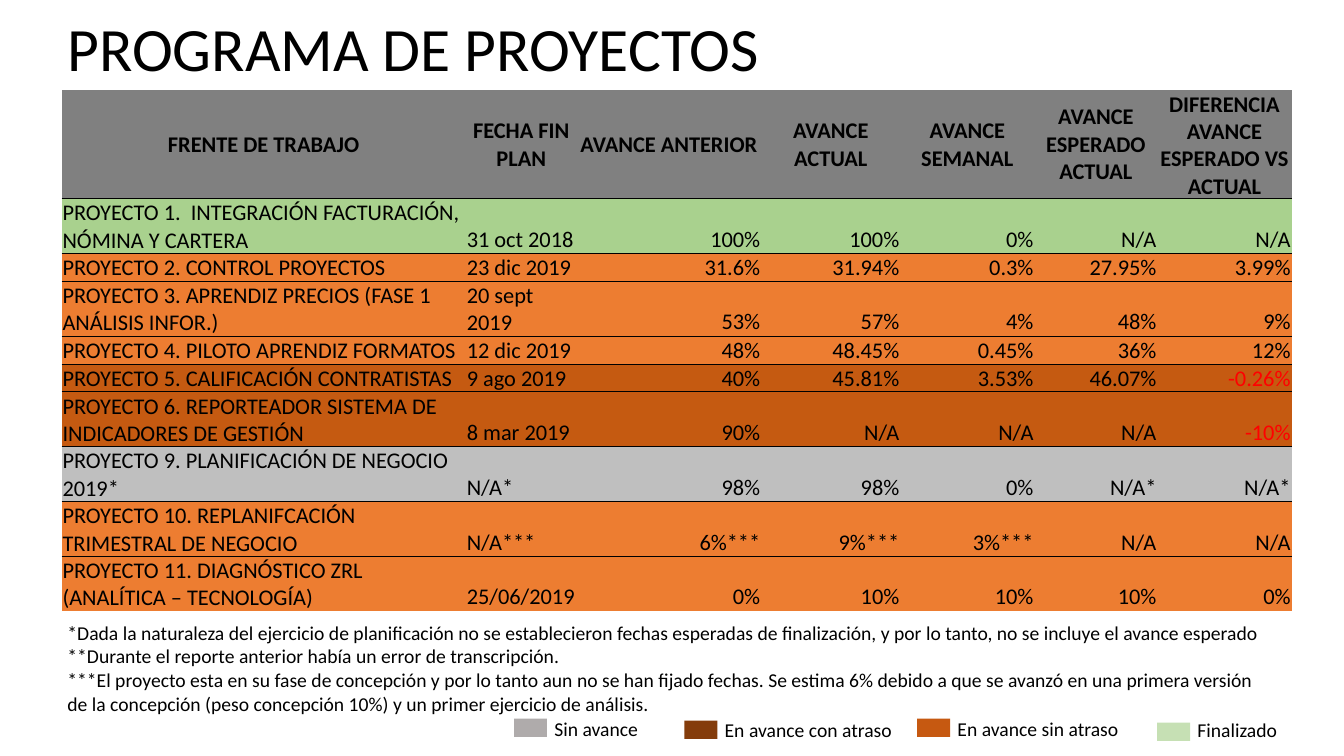
from lxml import etree
from pptx import Presentation
from pptx import util as u
from pptx.dml.color import RGBColor
from pptx.enum import shapes, text
from pptx.oxml.ns import qn

WIDTH, HEIGHT = u.Inches(13.33), u.Inches(7.5)
FONT = "Calibri"
BLACK, RED, GREY = "000000", "FF0000", "808080"
DONE, ON_TIME, LATE, IDLE = "A9D18E", "ED7D31", "C55A11", "BFBFBF"
NO_STYLE = "{2D5ABB26-0587-4C30-8999-92F81FD0307C}"

# Column widths and the height of one text line, in percent of the slide
COLUMNS = [30.08, 8.25, 13.73, 10.35, 9.98, 9.15, 9.98]
LINE = 3.6

HEADERS = ["FRENTE DE TRABAJO", "FECHA FIN PLAN", "AVANCE ANTERIOR",
           "AVANCE ACTUAL", "AVANCE SEMANAL", "AVANCE ESPERADO ACTUAL",
           "DIFERENCIA AVANCE ESPERADO VS ACTUAL"]

# Fill, text lines, values
PROJECTS = [
    (DONE, 2, ["PROYECTO 1.  INTEGRACIÓN FACTURACIÓN, NÓMINA Y CARTERA",
               "31 oct 2018", "100%", "100%", "0%", "N/A", "N/A"]),
    (ON_TIME, 1, ["PROYECTO 2. CONTROL PROYECTOS",
                  "23 dic 2019", "31.6%", "31.94%", "0.3%", "27.95%", "3.99%"]),
    (ON_TIME, 2, ["PROYECTO 3. APRENDIZ PRECIOS (FASE 1 ANÁLISIS INFOR.)",
                  "20 sept 2019", "53%", "57%", "4%", "48%", "9%"]),
    (ON_TIME, 1, ["PROYECTO 4. PILOTO APRENDIZ FORMATOS",
                  "12 dic 2019", "48%", "48.45%", "0.45%", "36%", "12%"]),
    (LATE, 1, ["PROYECTO 5. CALIFICACIÓN CONTRATISTAS",
               "9 ago 2019", "40%", "45.81%", "3.53%", "46.07%", "-0.26%"]),
    (LATE, 2, ["PROYECTO 6. REPORTEADOR SISTEMA DE INDICADORES DE GESTIÓN",
               "8 mar 2019", "90%", "N/A", "N/A", "N/A", "-10%"]),
    (IDLE, 2, ["PROYECTO 9. PLANIFICACIÓN DE NEGOCIO 2019*",
               "N/A*", "98%", "98%", "0%", "N/A*", "N/A*"]),
    (ON_TIME, 2, ["PROYECTO 10. REPLANIFCACIÓN TRIMESTRAL DE NEGOCIO",
                  "N/A***", "6%***", "9%***", "3%***", "N/A", "N/A"]),
    (ON_TIME, 2, ["PROYECTO 11. DIAGNÓSTICO ZRL (ANALÍTICA – TECNOLOGÍA)",
                  "25/06/2019", "0%", "10%", "10%", "10%", "0%"]),
]

NOTES = [
    "*Dada la naturaleza del ejercicio de planificación no se establecieron "
    "fechas esperadas de finalización, y por lo tanto, no se incluye el "
    "avance esperado",
    "**Durante el reporte anterior había un error de transcripción.",
    "***El proyecto esta en su fase de concepción y por lo tanto aun no se "
    "han fijado fechas. Se estima 6% debido a que se avanzó en una primera "
    "versión de la concepción (peso concepción 10%) y un primer ejercicio "
    "de análisis.",
]

# Label, colour, swatch left and top, label top and width
LEGEND = [
    ("Sin avance", "AFABAB", 38.25, 95.07, 94.13, 9.75),
    ("En avance con atraso", "843C0B", 50.93, 95.33, 94.27, 14.48),
    ("En avance sin atraso", "C65911", 68.25, 95.07, 94.13, 14.48),
    ("Finalizado", "C6E0B4", 86.1, 95.6, 94.27, 7.65),
]


def across(percent):
    """Turn a share of the slide's width into a length."""
    return round(WIDTH * percent / 100)


def down(percent):
    """Turn a share of the slide's height into a length."""
    return round(HEIGHT * percent / 100)


def place(left, top, width, height):
    """Turn four shares of the slide into a position and a size."""
    return across(left), down(top), across(width), down(height)


def paint(fill, color):
    """Make a fill solid in a hex colour."""
    fill.solid()
    fill.fore_color.rgb = RGBColor.from_string(color)


def add_run(p, words, size, color=BLACK, bold=False):
    """Add one formatted run to a paragraph."""
    r = p.add_run()
    r.text = words
    r.font.name, r.font.size, r.font.bold = FONT, u.Pt(size), bold
    r.font.color.rgb = RGBColor.from_string(color)


def add_text(s, box, paragraphs, size, wrap=True):
    """Add a text box with one run in each paragraph."""
    tf = s.shapes.add_textbox(*place(*box)).text_frame
    tf.word_wrap = wrap
    for i, words in enumerate(paragraphs):
        p = tf.add_paragraph() if i else tf.paragraphs[0]
        add_run(p, words, size)


def add_swatch(s, box, color):
    """Add a plain coloured rectangle."""
    sp = s.shapes.add_shape(shapes.MSO_SHAPE.RECTANGLE, *place(*box))
    sp.shadow.inherit = False
    paint(sp.fill, color)
    sp.line.fill.background()


def add_rule(cell, edge):
    """Draw a thin black line on one edge of a cell (lnT or lnB)."""
    ln = etree.SubElement(cell._tc.get_or_add_tcPr(), qn("a:" + edge),
                          w=str(u.Pt(0.5)))
    solid = etree.SubElement(ln, qn("a:solidFill"))
    etree.SubElement(solid, qn("a:srgbClr"), val=BLACK)


def fill_cell(cell, words, fill, align, header):
    """Set the text, margins and fill of one cell."""
    cell.margin_left = cell.margin_right = cell.margin_top = u.Inches(0.01)
    cell.margin_bottom = 0
    anchor = text.MSO_ANCHOR
    cell.vertical_anchor = anchor.MIDDLE if header else anchor.BOTTOM
    p = cell.text_frame.paragraphs[0]
    p.alignment = align
    color = RED if words.startswith("-") else BLACK
    add_run(p, words, 16, color, header)
    paint(cell.fill, fill)


def add_projects(s, left, top):
    """Add the table of projects, ruled between its rows."""
    rows = [(GREY, 4, HEADERS)] + PROJECTS
    height = LINE * sum(lines for _, lines, _ in rows)
    box = place(left, top, sum(COLUMNS), height)
    table = s.shapes.add_table(len(rows), len(COLUMNS), *box).table
    table.first_row = table.horz_banding = False
    table._tbl.tblPr.find(qn("a:tableStyleId")).text = NO_STYLE
    for column, width in zip(table.columns, COLUMNS):
        column.width = across(width)
    al = text.PP_ALIGN
    for i, (fill, lines, values) in enumerate(rows):
        table.rows[i].height = down(LINE * lines)
        for j, words in enumerate(values):
            cell = table.cell(i, j)
            align = al.CENTER if i == 0 else al.LEFT if j < 2 else al.RIGHT
            if i > 0:
                add_rule(cell, "lnT")
            if i < len(rows) - 1:
                add_rule(cell, "lnB")
            fill_cell(cell, words, fill, align, i == 0)


def add_legend(s):
    """Add the colour key along the foot of the slide."""
    for label, color, left, top, label_top, width in LEGEND:
        add_swatch(s, (left, top, 2.45, 2.4), color)
        add_text(s, (left + 2.25, label_top, width, 4.53), [label], 14, False)


def main():
    """Build the slide and save it."""
    prs = Presentation()
    prs.slide_width, prs.slide_height = WIDTH, HEIGHT
    s = prs.slides.add_slide(prs.slide_layouts[6])
    add_text(s, (4.28, 0.67, 90.75, 11.2), ["PROGRAMA DE PROYECTOS"], 44)
    add_projects(s, 4.58, 11.87)
    add_legend(s)
    add_text(s, (4.28, 81.47, 91.5, 13.87), NOTES, 14)
    prs.save("out.pptx")


main()
